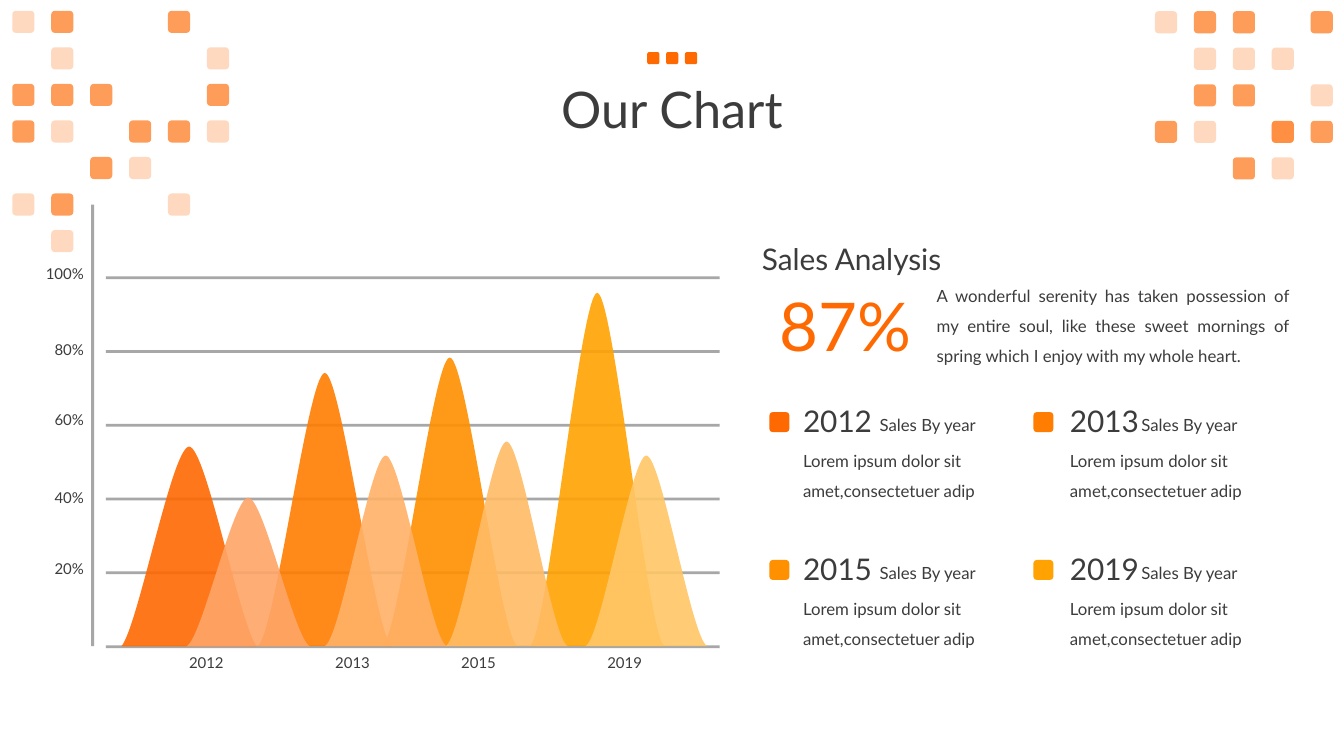
import pptx
import pptx.util
import pptx.dml.color
import pptx.enum.shapes
import pptx.enum.text
import pptx.oxml
import pptx.oxml.ns
from lxml import etree

Pt = pptx.util.Pt
RGBColor = pptx.dml.color.RGBColor
Align = pptx.enum.text.PP_ALIGN
Anchor = pptx.enum.text.MSO_ANCHOR
Preset = pptx.enum.shapes.MSO_SHAPE
qn = pptx.oxml.ns.qn

TEXT = RGBColor(0x3C, 0x3C, 0x3C)
GRID = RGBColor(0x9E, 0x9E, 0x9E)
ORANGE = RGBColor(0xFE, 0x69, 0x02)
TANGERINE = RGBColor(0xFF, 0x7D, 0x01)
AMBER = RGBColor(0xFF, 0x90, 0x00)
GOLD = RGBColor(0xFF, 0xA2, 0x02)
PALE_ORANGE = RGBColor(0xFE, 0xA5, 0x67)
PALE_TANGERINE = RGBColor(0xFF, 0xB1, 0x67)
PALE_AMBER = RGBColor(0xFF, 0xBC, 0x66)
PALE_GOLD = RGBColor(0xFF, 0xC7, 0x67)

BASELINE = 461.6
LEFT_MOSAIC = ["ld..d.", ".l...l", "ddd..d", "dl.ddl", "..dl..", "ld..l.", ".l...."]
RIGHT_MOSAIC = ["ldd.d", ".lll.", ".dd.l", "dl.bd", "..dl."]
# Opacities of the squares each letter stands for
MOSAIC_TONES = {"l": [25], "d": [65], "b": [65, 25], ".": []}


class Slide:
    """Draws elements, measured in points, on one page."""

    font = "Lato"

    def __init__(self, deck):
        self.page = deck.slides.add_slide(deck.slide_layouts[6])

    def paint(self, shape, color, opacity=100):
        shape.shadow.inherit = False
        shape.line.fill.background()
        shape.fill.solid()
        shape.fill.fore_color.rgb = color
        if opacity < 100:
            tone = shape.fill._xPr.find(".//" + qn("a:srgbClr"))
            etree.SubElement(tone, qn("a:alpha"), val=str(opacity * 1000))

    def bar(self, left, top, width, height):
        shape = self.page.shapes.add_shape(
            Preset.RECTANGLE, Pt(left), Pt(top), Pt(width), Pt(height))
        self.paint(shape, GRID, 90)

    def square(self, left, top, side, color, opacity=100, group=None):
        shapes = (group or self.page).shapes
        shape = shapes.add_shape(
            Preset.ROUNDED_RECTANGLE, Pt(left), Pt(top), Pt(side), Pt(side))
        self.paint(shape, color, opacity)

    def mosaic(self, left, top, rows):
        group = self.page.shapes.add_group_shape()
        for row, letters in enumerate(rows):
            for column, letter in enumerate(letters):
                for opacity in MOSAIC_TONES[letter]:
                    self.square(left + column * 27.8, top + row * 26.1, 15.8,
                                ORANGE, opacity, group)

    def peak(self, left, top, width, color, lift=0):
        """A bell of two mirrored S-curves; lift steepens its foot."""
        half, height = round(width * 50), round((BASELINE - top) * 100)
        builder = self.page.shapes.build_freeform(
            round(left * 100), round(BASELINE * 100), scale=Pt(1) / 100)
        crest = (round(left * 100) + half, round(top * 100))
        foot = (round(left * 100) + 2 * half, round(BASELINE * 100))
        builder.add_line_segments([crest, foot], close=True)
        shape = builder.convert_to_shape()
        bend = height - lift * 100
        curves = [[(half / 4, bend), (half * 3 / 4, 0), (half, 0)],
                  [(half * 5 / 4, 0), (half * 7 / 4, bend), (half * 2, height)]]
        for segment, points in zip(list(shape._element.iter(qn("a:lnTo"))), curves):
            curve = etree.Element(qn("a:cubicBezTo"))
            for x, y in points:
                etree.SubElement(curve, qn("a:pt"), x=str(round(x)), y=str(round(y)))
            segment.getparent().replace(segment, curve)
        self.paint(shape, color, 90)

    def text(self, words, left, top, width, height, size, color=TEXT,
             align=Align.LEFT, spacing=None, wrap=True, inset=(7.2, 3.6),
             anchor=Anchor.TOP):
        box = self.page.shapes.add_textbox(Pt(left), Pt(top), Pt(width), Pt(height))
        frame = box.text_frame
        frame.word_wrap = wrap
        frame.vertical_anchor = anchor
        frame.margin_left = frame.margin_right = Pt(inset[0])
        frame.margin_top = frame.margin_bottom = Pt(inset[1])
        para = frame.paragraphs[0]
        para.text = words
        para.alignment = align
        para.line_spacing = spacing
        para.font.name = self.font
        para.font.size = Pt(size)
        para.font.color.rgb = color

    def legend(self, year, color, marker_left, year_left, note_left, top):
        inset = (9.6, 4.8)
        self.square(marker_left, top + 11.7, 14.2, color)
        self.text(year, year_left, top, 86, 39.6, 21.3, inset=inset)
        self.text("Sales By year", note_left, top + 8.6, 107, 21, 12, inset=inset)
        self.text("Lorem ipsum dolor sit amet,consectetuer adip",
                  year_left, top + 27.2, 157, 50.4, 12, spacing=1.5, inset=inset)


def main():
    deck = pptx.Presentation()
    deck.slide_width, deck.slide_height = Pt(960), Pt(540)
    slide = Slide(deck)

    # Title
    slide.text("Our Chart", 66, 28, 828, 104.4, 36, align=Align.CENTER,
               spacing=0.9, anchor=Anchor.MIDDLE)
    for dot in range(3):
        slide.square(462.3 + dot * 13.5, 37.2, 8.7, ORANGE)

    # Chart grid and axis
    for line in range(6):
        slide.bar(75.6, 197.4 + line * 52.7, 438.5, 2)
    slide.bar(65.2, 146.2, 2.1, 315.4)

    # Chart peaks, back to front
    slide.peak(86.8, 319, 96.6, ORANGE, lift=15)
    slide.peak(378, 209.2, 97.2, GOLD)
    slide.peak(183.4, 266.4, 97.2, TANGERINE)
    slide.peak(272.4, 255.4, 97.8, AMBER)
    slide.peak(133.2, 355.4, 88.2, PALE_ORANGE, lift=5)
    slide.peak(417.6, 325.4, 88.2, PALE_GOLD)
    slide.peak(317.8, 315.4, 88.2, PALE_AMBER)
    slide.peak(231.4, 325.4, 88.2, PALE_TANGERINE)

    # Axis labels
    for label, top in [("20%", 396), ("40%", 345.3), ("60%", 289.6),
                       ("80%", 239.7), ("100%", 185.2)]:
        slide.text(label, 24.5, top, 42.5, 20.2, 10.7, align=Align.RIGHT, wrap=False)
    for year, left in [("2012", 127.6), ("2013", 232), ("2015", 322), ("2019", 426.4)]:
        slide.text(year, left, 463.3, 39.6, 20.2, 10.7, align=Align.CENTER, wrap=False)

    # Sales analysis
    slide.text("Sales Analysis", 537.2, 168.2, 152.6, 33.1, 21.3, wrap=False)
    slide.text("87%", 549.7, 199.4, 110.2, 65.5, 48, color=ORANGE, wrap=False)
    slide.text("A wonderful serenity has taken possession of my entire soul, like these "
               "sweet mornings of spring which I enjoy with my whole heart.",
               662, 193.3, 266.2, 69.8, 12, align=Align.JUSTIFY, spacing=1.5)

    # Legend: marker, year and note positions per column
    columns = [(549.6, 564, 618.7), (738.2, 754.6, 805.7)]
    years = [("2012", ORANGE), ("2013", TANGERINE), ("2015", AMBER), ("2019", GOLD)]
    for index, (year, color) in enumerate(years):
        row, column = divmod(index, 2)
        slide.legend(year, color, *columns[column], 282.7 + row * 105.6)

    # Corner mosaics
    slide.mosaic(8.8, 7.7, LEFT_MOSAIC)
    slide.mosaic(825, 8, RIGHT_MOSAIC)

    deck.save("out.pptx")


if __name__ == "__main__":
    main()
